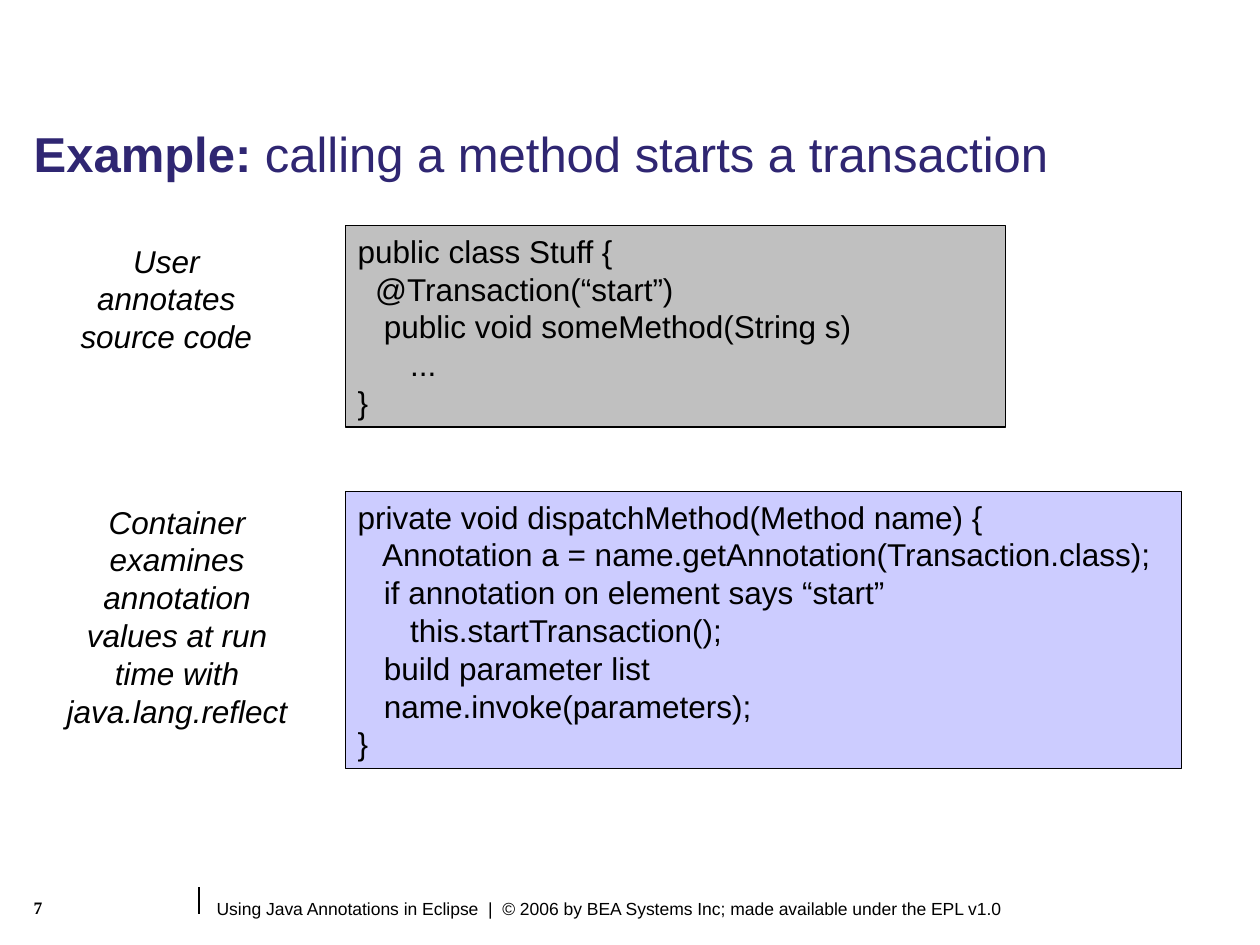
"""Build a slide about a method call that starts a transaction."""
import pptx
import pptx.dml.color
import pptx.enum.shapes
import pptx.enum.text
import pptx.util
from lxml import etree

Pt = pptx.util.Pt
RGBColor = pptx.dml.color.RGBColor
Align = pptx.enum.text.PP_ALIGN
Anchor = pptx.enum.text.MSO_ANCHOR

BLACK = RGBColor(0x00, 0x00, 0x00)
PURPLE = RGBColor(0x2F, 0x26, 0x72)
GRAY = RGBColor(0xC0, 0xC0, 0xC0)
LAVENDER = RGBColor(0xCC, 0xCC, 0xFF)

USER_CODE = """public class Stuff {
  @Transaction(“start”)
   public void someMethod(String s)
      ...
}"""
CONTAINER_CODE = """private void dispatchMethod(Method name) {
   Annotation a = name.getAnnotation(Transaction.class);
   if annotation on element says “start”
      this.startTransaction();
   build parameter list
   name.invoke(parameters);
}"""


def add_text(shape, text, size=18, font="Arial", color=BLACK, bold=False, italic=False,
             align=Align.LEFT, anchor=Anchor.TOP, spacing=None):
    frame = shape.text_frame
    frame.word_wrap = True
    frame.vertical_anchor = anchor
    paragraph = frame.paragraphs[0]
    paragraph.alignment = align
    paragraph.line_spacing = spacing
    for index, line in enumerate(text.split("\n")):
        if index:
            paragraph.add_line_break()
        run = paragraph.add_run()
        run.text = line
        run.font.size = Pt(size)
        run.font.name = font
        run.font.color.rgb = color
        run.font.bold = bold
        run.font.italic = italic


presentation = pptx.Presentation()
presentation.slide_width = Pt(720)
presentation.slide_height = Pt(540)
slide = presentation.slides.add_slide(presentation.slide_layouts[6])
shapes = slide.shapes

divider = shapes.add_connector(
    pptx.enum.shapes.MSO_CONNECTOR.STRAIGHT, Pt(113.8), Pt(506.9), Pt(113.8), Pt(522))
divider.line.color.rgb = BLACK
divider.line.width = Pt(0.75)
etree.SubElement(divider._element.spPr, pptx.oxml.ns.qn("a:effectLst"))

footer = shapes.add_textbox(Pt(113.8), Pt(509.8), Pt(606.2), Pt(19.4))
footer.text_frame.margin_left = Pt(10)
add_text(footer, "Using Java Annotations in Eclipse  |  © 2006 by BEA Systems Inc; "
         "made available under the EPL v1.0", size=10)

title = shapes.add_textbox(Pt(12.2), Pt(68.4), Pt(649.4), Pt(39.6))
for text, bold in (("Example:", True), (" calling a method starts a transaction", False)):
    add_text(title, text, size=28, color=PURPLE, bold=bold, anchor=Anchor.BOTTOM, spacing=0.9)

for code, top, width, height, fill in (
    (USER_CODE, 128.9, 377.3, 115.2, GRAY),
    (CONTAINER_CODE, 280.8, 478.1, 158.4, LAVENDER),
):
    box = shapes.add_shape(pptx.enum.shapes.MSO_SHAPE.RECTANGLE,
                           Pt(197.3), Pt(top), Pt(width), Pt(height))
    box.shadow.inherit = False
    box.fill.solid()
    box.fill.fore_color.rgb = fill
    box.line.color.rgb = BLACK
    box.line.width = Pt(0.75)
    add_text(box, code, anchor=Anchor.MIDDLE, spacing=Pt(21.6))

for label, left, top, width, height in (
    ("User annotates source code", 28.1, 134.6, 133.9, 72),
    ("Container\nexamines annotation values at run time with java.lang.reflect",
     25.9, 283.7, 150.5, 136.8),
):
    caption = shapes.add_textbox(Pt(left), Pt(top), Pt(width), Pt(height))
    add_text(caption, label, italic=True, align=Align.CENTER, spacing=Pt(21.6))

page_number = shapes.add_textbox(Pt(12.2), Pt(509), Pt(79.2), Pt(25.2))
add_text(page_number, "7", size=10, font="Times New Roman", bold=True)

presentation.save("out.pptx")
